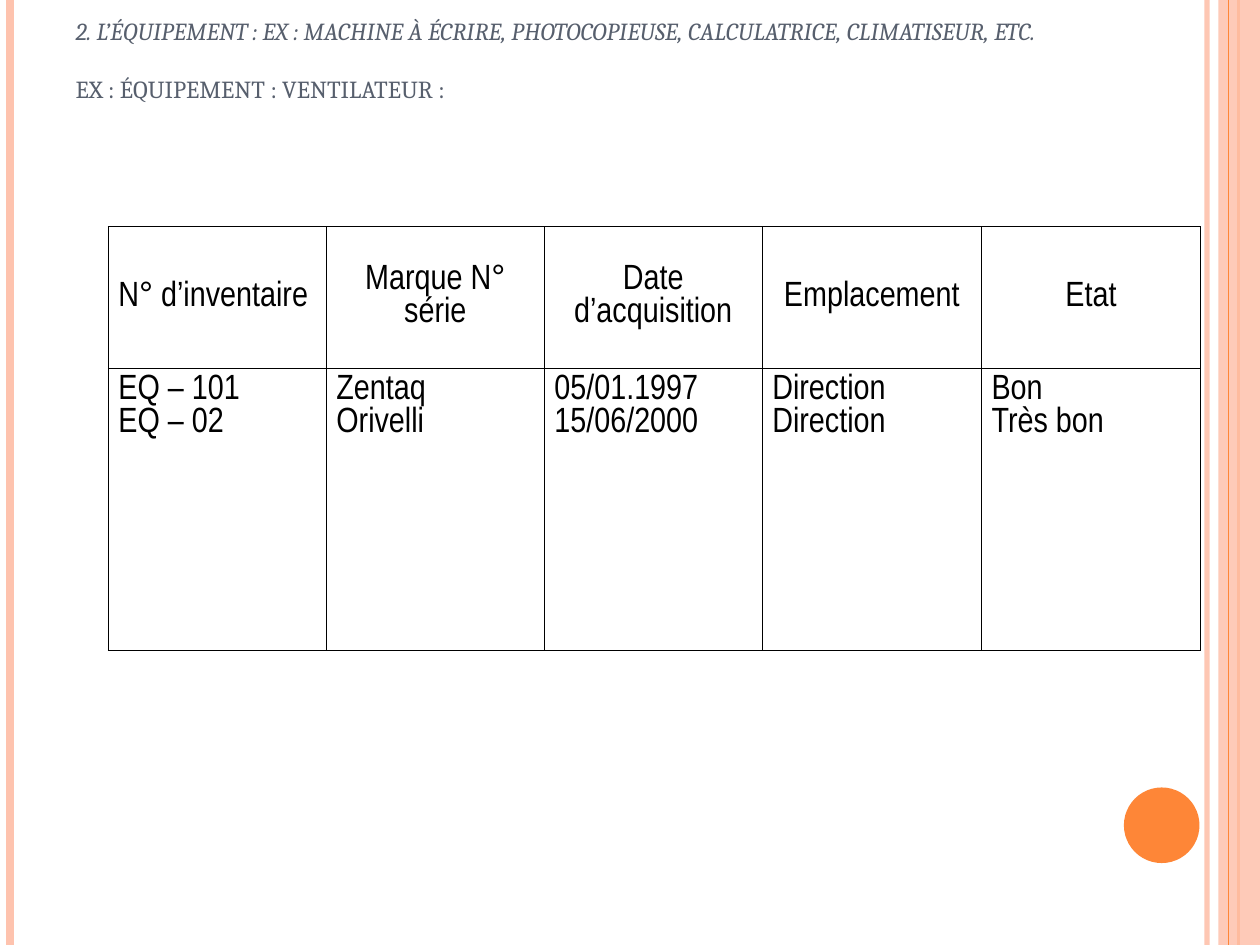
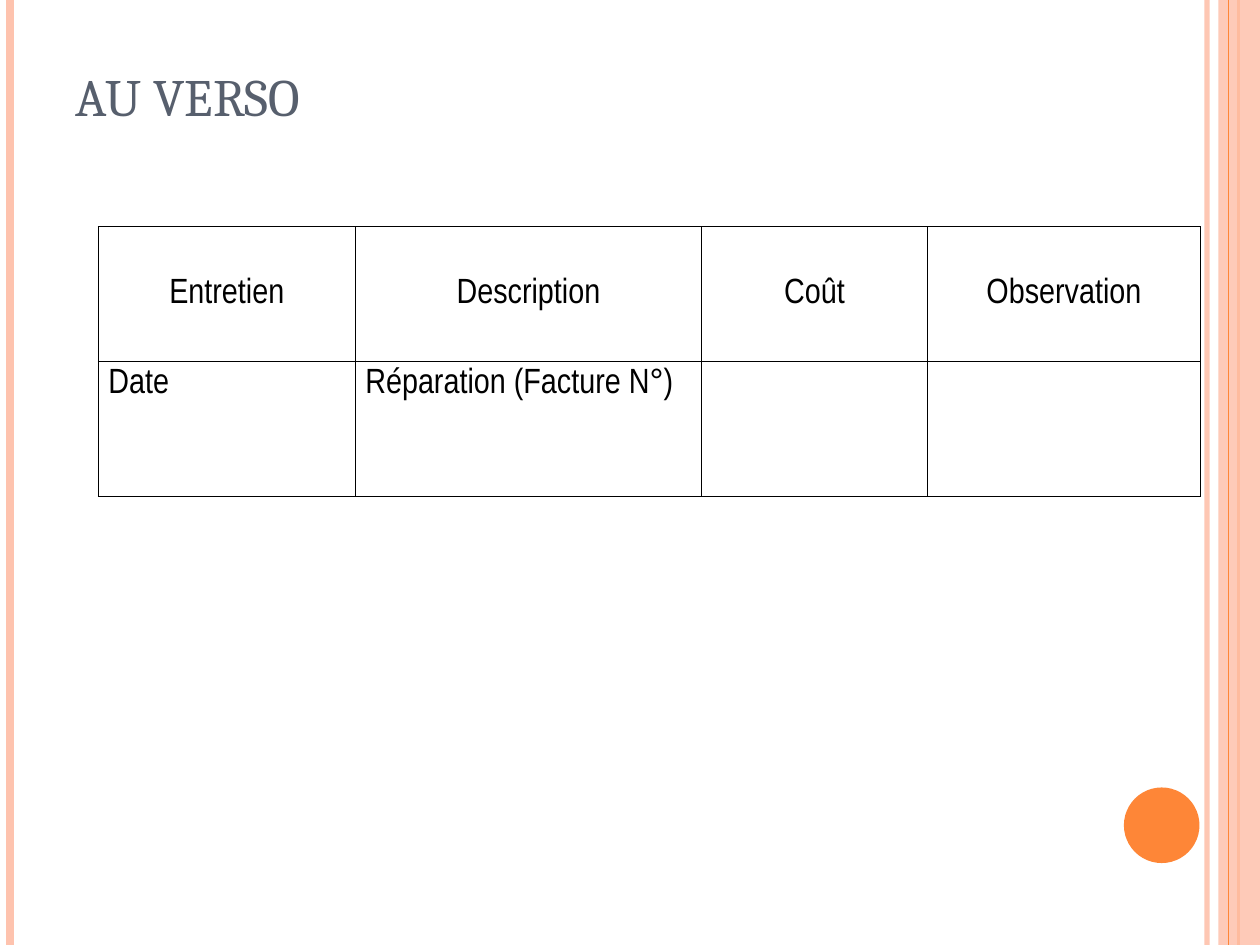
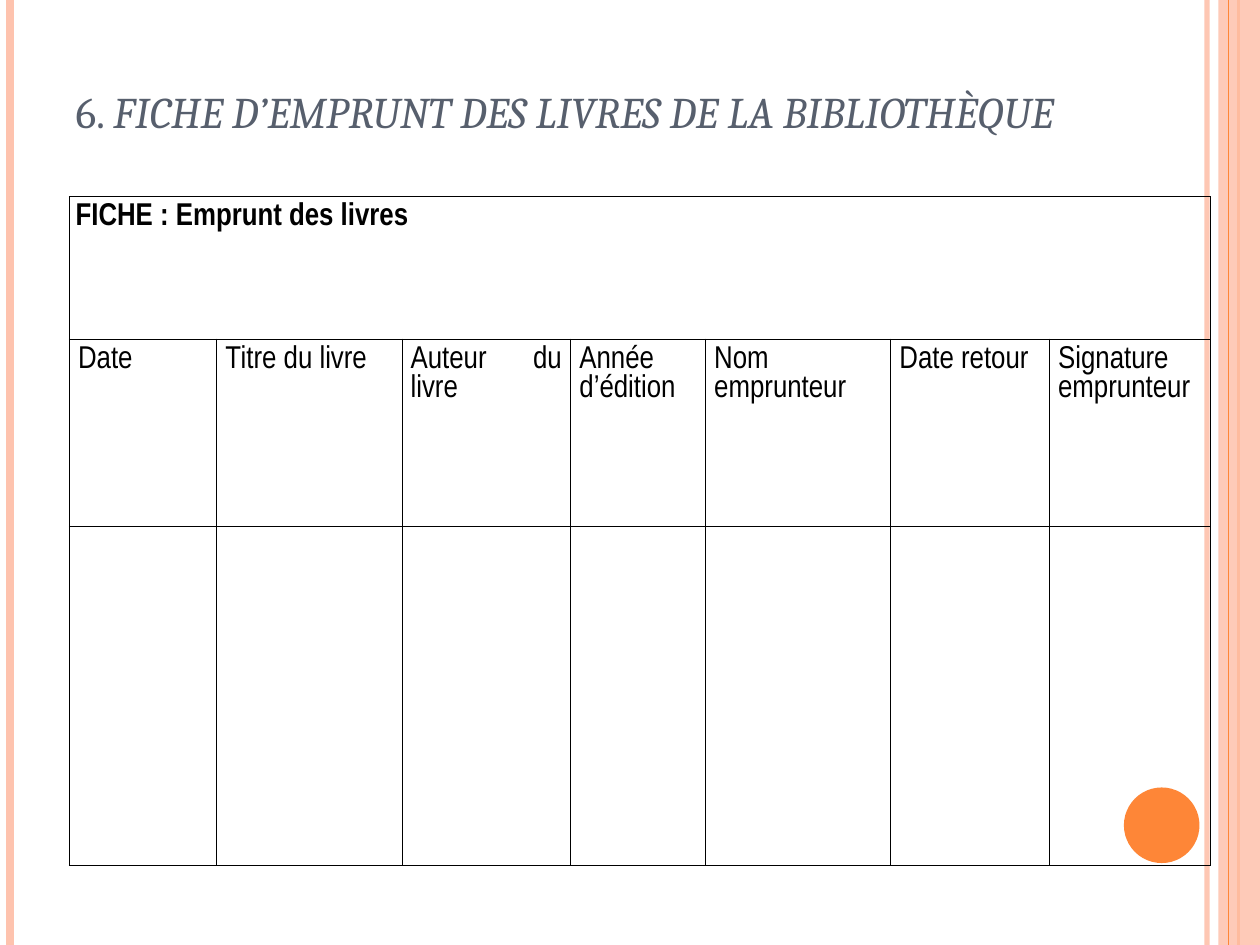
from lxml.etree import SubElement
from pptx import Presentation
from pptx.dml.color import RGBColor
from pptx.enum.shapes import MSO_CONNECTOR, MSO_SHAPE
from pptx.enum.text import MSO_ANCHOR, MSO_AUTO_SIZE, PP_ALIGN
from pptx.oxml.ns import qn
from pptx.util import Inches, Pt

COLORS = {"peach": "FEC3AE", "orange": "FE8637", "slate": "575F6D", "black": "000000"}
CENTER, JUSTIFY, LEFT = PP_ALIGN.CENTER, PP_ALIGN.JUSTIFY, PP_ALIGN.LEFT
TOP, MIDDLE = MSO_ANCHOR.TOP, MSO_ANCHOR.MIDDLE

TITLE_FONT = {"name": "Cambria", "bold": False}
TABLE_FONT = {"name": "Arial Narrow", "bold": False}

# Each title paragraph is a list of (text, italic) runs
SLIDES = [
    {
        "title_width": 9, "title_height": 1.03, "title_size": 14, "title_bottom": 0.51,
        "title": [
            [("2. L’ÉQUIPEMENT : EX : MACHINE À ÉCRIRE, PHOTOCOPIEUSE, "
              "CALCULATRICE, CLIMATISEUR, ETC.", True)],
            [("EX : ÉQUIPEMENT : VENTILATEUR :", False)],
        ],
        "left": 0.86, "top": 1.8, "text_size": 20, "margin": 0.08,
        "columns": [1.73, 1.73, 1.73, 1.74, 1.74], "rows": [1.12, 2.24],
        "anchors": [MIDDLE, TOP],
        "alignments": [[JUSTIFY] + [CENTER] * 4, [JUSTIFY] * 5],
        "cells": [
            ["N° d’inventaire", "Marque N° série", "Date d’acquisition", "Emplacement", "Etat"],
            ["EQ – 101\nEQ – 02", "Zentaq\nOrivelli", "05/01.1997\n15/06/2000",
             "Direction\nDirection", "Bon\nTrès bon"],
        ],
    },
    {
        "title_width": 8.17, "title_height": 1.25, "title_size": 30, "title_bottom": 0.54,
        "title": [[("AU VERSO", False)]],
        "left": 0.78, "top": 1.8, "text_size": 20, "margin": 0.08,
        "columns": [2.04, 2.75, 1.79, 2.17], "rows": [1.07, 1.07],
        "anchors": [MIDDLE, TOP],
        "alignments": [[CENTER] * 4, [JUSTIFY] * 4],
        "cells": [
            ["Entretien", "Description", "Coût", "Observation"],
            ["Date", "Réparation (Facture N°)", "", ""],
        ],
    },
    {
        "title_width": 8.17, "title_height": 1.25, "title_size": 25, "title_bottom": 0.46,
        "title": [[("6. ", False), ("FICHE D’EMPRUNT DES LIVRES DE LA BIBLIOTHÈQUE", True)]],
        "left": 0.55, "top": 1.56, "text_size": 18, "margin": 0.07,
        "columns": [1.17, 1.47, 1.34, 1.07, 1.47, 1.26, 1.28], "rows": [1.13, 1.49, 2.69],
        "anchors": [TOP] * 3,
        "alignments": [[JUSTIFY] * 7, [JUSTIFY] * 4 + [LEFT] + [JUSTIFY] * 2, [JUSTIFY] * 7],
        "banner": True,
        "cells": [
            ["FICHE : Emprunt des livres"] + [""] * 6,
            ["Date", "Titre du livre", "Auteur du livre", "Année d’édition",
             "Nom\nemprunteur", "Date retour", "Signature emprunteur"],
            [""] * 7,
        ],
    },
]


def format_font(font, values, color):
    for name, value in values.items():
        setattr(font, name, value)
    font.color.rgb = RGBColor.from_string(COLORS[color])


def set_alpha(shape, percent):
    for color in shape.element.spPr.iter(qn("a:srgbClr")):
        SubElement(color, qn("a:alpha"), val=str(percent * 1000))


presentation = Presentation()
presentation.slide_width, presentation.slide_height = Inches(10), Inches(7.5)
layout = presentation.slide_layouts.get_by_name("Title Only")
for placeholder in list(layout.placeholders)[1:]:
    layout.shapes.element.remove(placeholder.element)
slides = [presentation.slides.add_slide(layout) for content in SLIDES]

# Side bands and disc, drawn in order and then moved to the shared layout
shapes = slides[0].shapes
decoration = []
for x, color, width, opacity in [
    (9.58, "peach", 3, 93), (0.08, "peach", 4.5, 100),
    (9.83, "orange", 1.5, 100), (9.75, "orange", 0.75, 100),
]:
    line = shapes.add_connector(
        MSO_CONNECTOR.STRAIGHT, Inches(x), Inches(0), Inches(x), Inches(7.5))
    line.line.color.rgb = RGBColor.from_string(COLORS[color])
    line.line.width = Pt(width)
    if opacity < 100:
        set_alpha(line, opacity)
    SubElement(line.element.spPr, qn("a:effectLst"))
    decoration.append(line)

for kind, box, color, opacity, position in [
    (MSO_SHAPE.RECTANGLE, (9.67, 0, 0.33, 7.5), "peach", 87, 3),
    (MSO_SHAPE.OVAL, (8.92, 6.25, 0.6, 0.6), "orange", 100, 5),
]:
    shape = shapes.add_shape(kind, *[Inches(length) for length in box])
    shape.fill.solid()
    shape.fill.fore_color.rgb = RGBColor.from_string(COLORS[color])
    shape.line.fill.background()
    shape.shadow.inherit = False
    if opacity < 100:
        set_alpha(shape, opacity)
    decoration.insert(position, shape)

for shape in decoration:
    layout.shapes.element.append(shape.element)

for slide, content in zip(slides, SLIDES):
    # Title
    title = slide.shapes.title
    title.left, title.top = Inches(0.5), Inches(0.3)
    title.width, title.height = Inches(content["title_width"]), Inches(content["title_height"])
    frame_format = {
        "word_wrap": True, "auto_size": MSO_AUTO_SIZE.NONE,
        "vertical_anchor": MSO_ANCHOR.BOTTOM,
        "margin_left": Inches(0.1), "margin_right": Inches(0.1),
        "margin_top": Inches(0.05), "margin_bottom": Inches(content["title_bottom"]),
    }
    for name, value in frame_format.items():
        setattr(title.text_frame, name, value)
    for index, runs in enumerate(content["title"]):
        paragraph = title.text_frame.add_paragraph() if index else title.text_frame.paragraphs[0]
        paragraph.alignment = LEFT
        paragraph.space_before = Pt(16.5 if index else 0)
        for text, italic in runs:
            run = paragraph.add_run()
            run.text = text
            size = {"size": Pt(content["title_size"]), "italic": italic}
            format_font(run.font, TITLE_FONT | size, "slate")

    # Table
    columns, rows = content["columns"], content["rows"]
    table = slide.shapes.add_table(
        len(rows), len(columns), Inches(content["left"]), Inches(content["top"]),
        Inches(sum(columns)), Inches(sum(rows))).table
    table.first_row = table.horz_banding = False
    for column, width in zip(table.columns, columns):
        column.width = Inches(width)
    for row, height in zip(table.rows, rows):
        row.height = Inches(height)
    has_banner = content.get("banner", False)
    if has_banner:
        table.cell(0, 0).merge(table.cell(0, len(columns) - 1))

    for row_index, texts in enumerate(content["cells"]):
        in_banner = has_banner and row_index == 0
        for column_index, text in enumerate(texts):
            cell = table.cell(row_index, column_index)
            cell.vertical_anchor = content["anchors"][row_index]
            cell.margin_left = cell.margin_right = Inches(0.05 if in_banner else content["margin"])
            # Borders come before the fill in the cell properties
            properties = cell._tc.get_or_add_tcPr()
            for side in ("a:lnL", "a:lnR", "a:lnT", "a:lnB"):
                border = SubElement(properties, qn(side), w=str(Pt(0.45)))
                fill = SubElement(border, qn("a:solidFill"))
                SubElement(fill, qn("a:srgbClr"), val=COLORS["black"])
            cell.fill.background()
            if not text:
                continue
            cell.text = text
            for paragraph in cell.text_frame.paragraphs:
                paragraph.alignment = content["alignments"][row_index][column_index]
                size = {"size": Pt(content["text_size"]), "bold": in_banner}
                for run in paragraph.runs:
                    format_font(run.font, TABLE_FONT | size, "black")

presentation.save("out.pptx")
